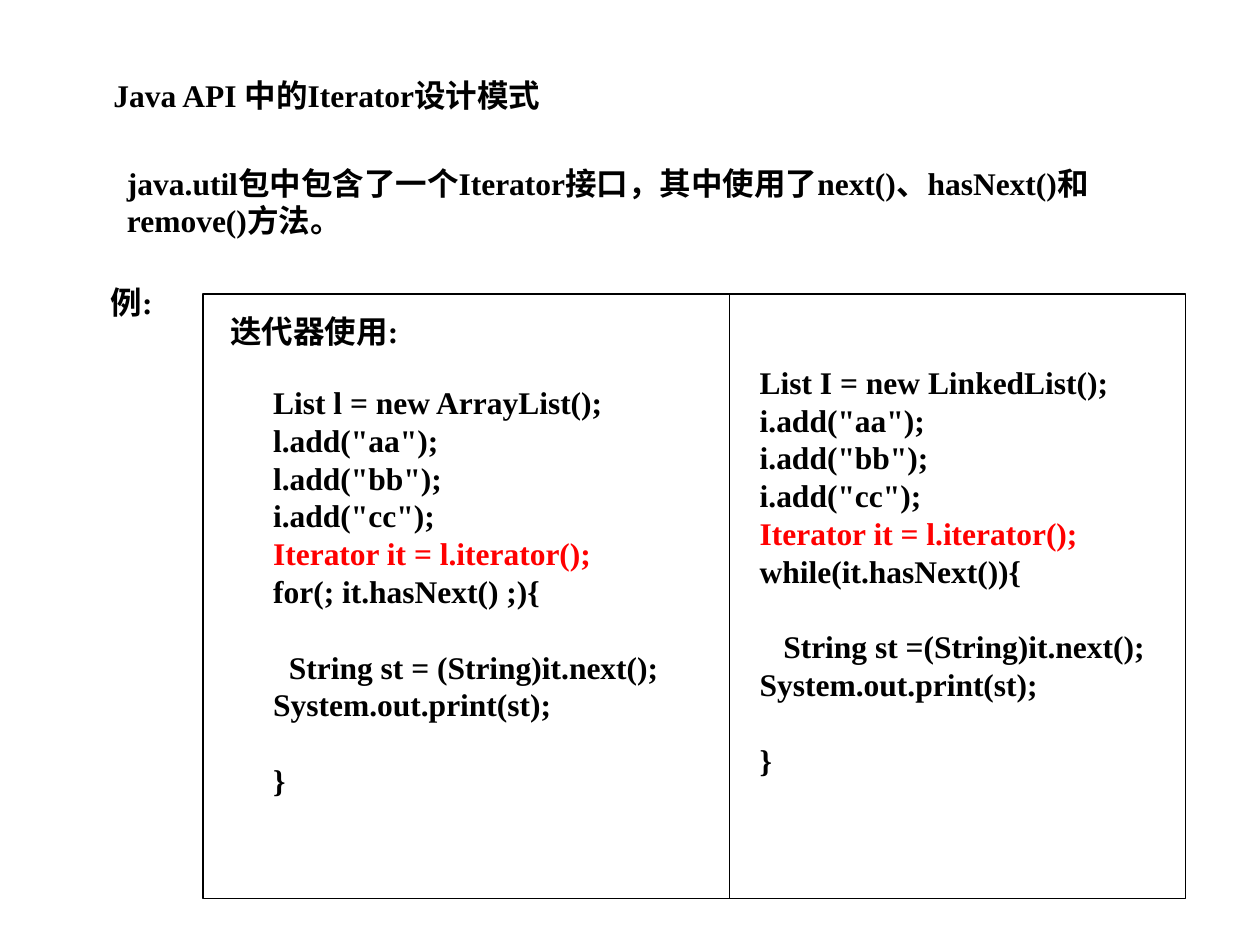
import pptx
import pptx.util
import pptx.dml.color
import pptx.enum.shapes
import pptx.enum.text
import pptx.oxml

Pt = pptx.util.Pt
BLACK = pptx.dml.color.RGBColor(0x00, 0x00, 0x00)
RED = pptx.dml.color.RGBColor(0xFF, 0x00, 0x00)
LINE_HEIGHT = 21.6


def write_line(frame, text, color=BLACK, gap=0, indent=0):
    """Fill the empty first paragraph of the frame, or add one below."""
    para = frame.paragraphs[0] if not frame.text else frame.add_paragraph()
    para.alignment = pptx.enum.text.PP_ALIGN.LEFT
    para.line_spacing = Pt(LINE_HEIGHT)
    para.space_before = Pt(gap)
    if indent:
        para._p.get_or_add_pPr().set("marL", str(Pt(indent)))
    span = para.add_run()
    span.text = text
    span.font.name = "Times New Roman"
    span.font.size = Pt(18)
    span.font.bold = True
    span.font.color.rgb = color


def add_text(page, left, top, width, height):
    box = page.shapes.add_textbox(Pt(left), Pt(top), Pt(width), Pt(height))
    box.text_frame.word_wrap = True
    return box.text_frame


deck = pptx.Presentation()
deck.slide_width, deck.slide_height = Pt(720), Pt(540)
page = deck.slides.add_slide(deck.slide_layouts[5])

# Title
title = page.shapes.title
title.left, title.top, title.width, title.height = Pt(57.6), Pt(39.6), Pt(330.5), Pt(28.8)
title.text_frame.vertical_anchor = pptx.enum.text.MSO_ANCHOR.TOP
title.text_frame.auto_size = pptx.enum.text.MSO_AUTO_SIZE.NONE
write_line(title.text_frame, "Java API 中的Iterator设计模式")

# Introduction and example label
intro = add_text(page, 65.5, 90, 604, 50.4)
write_line(intro, "java.util包中包含了一个Iterator接口，其中使用了next()、hasNext()和")
write_line(intro, "remove()方法。")
write_line(add_text(page, 56.2, 158.4, 50, 28.8), "例:")

# Frame around the two code samples
frame_left, frame_top, frame_width, frame_height = 116, 168, 561.6, 345.6
frame = page.shapes.add_shape(
    pptx.enum.shapes.MSO_SHAPE.RECTANGLE,
    Pt(frame_left), Pt(frame_top), Pt(frame_width), Pt(frame_height))
frame.shadow.inherit = False
frame.fill.background()
frame.line.color.rgb = BLACK
frame.line.width = Pt(0.75)

divider_x = 416.9
divider = page.shapes.add_connector(
    pptx.enum.shapes.MSO_CONNECTOR.STRAIGHT,
    Pt(divider_x), Pt(frame_top), Pt(divider_x), Pt(frame_top + frame_height))
divider.line.color.rgb = BLACK
divider.line.width = Pt(0.75)
divider._element.spPr.append(pptx.oxml.parse_xml(
    '<a:effectLst xmlns:a="http://schemas.openxmlformats.org/drawingml/2006/main"/>'))

write_line(add_text(page, 124.6, 175, 124, 28.8), "迭代器使用:")

# Code samples: left, top, height, opening lines, loop head, loop body, body indent
samples = [
    (149, 215.3, 244.8,
     ["List l = new ArrayList();", 'l.add("aa");', 'l.add("bb");', 'i.add("cc");'],
     "for(; it.hasNext() ;){", "String st = (String)it.next();", 9),
    (427, 203.8, 266.4,
     ["List I = new LinkedList();", 'i.add("aa");', 'i.add("bb");', 'i.add("cc");'],
     "while(it.hasNext()){", "String st =(String)it.next();", 13.5),
]
for left, top, height, opening, loop_head, loop_body, indent in samples:
    code = add_text(page, left, top, 245, height)
    for text in opening:
        write_line(code, text)
    write_line(code, "Iterator it = l.iterator();", color=RED)
    write_line(code, loop_head)
    write_line(code, loop_body, gap=LINE_HEIGHT, indent=indent)
    write_line(code, "System.out.print(st);")
    write_line(code, "}", gap=LINE_HEIGHT)

deck.save("out.pptx")
